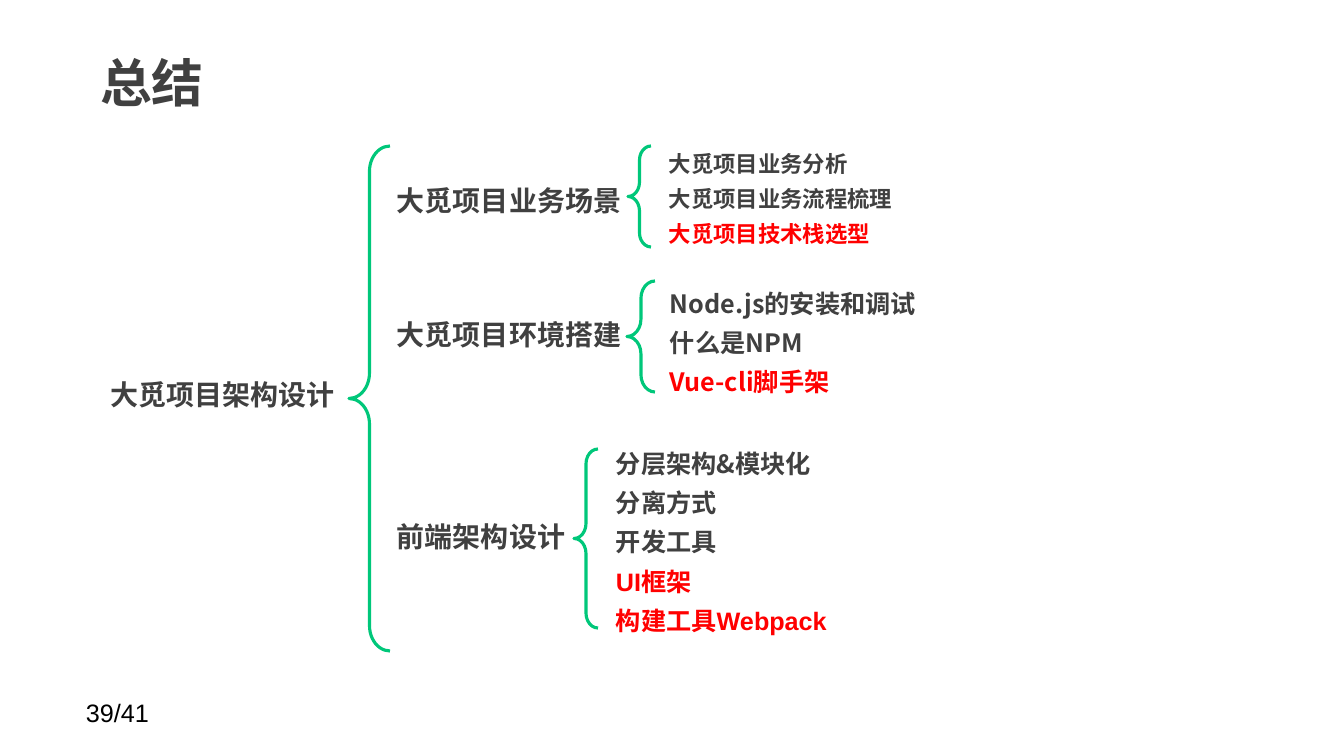
from pptx import Presentation
from pptx.dml.color import RGBColor
from pptx.enum.shapes import MSO_SHAPE
from pptx.enum.text import MSO_ANCHOR, MSO_AUTO_SIZE, PP_ALIGN
from pptx.oxml.ns import qn
from pptx.util import Emu, Pt
from lxml.etree import SubElement

EMU_PER_PX = 914400 / 100.8
SLIDE_SIZE = (1344, 756)
DARK = RGBColor(0x40, 0x40, 0x40)
RED = RGBColor(0xFF, 0x00, 0x00)
BLACK = RGBColor(0x00, 0x00, 0x00)
GREEN = RGBColor(0x00, 0xC7, 0x7A)
LATIN = "Arial"
CHINESE = "Noto Sans CJK SC"
LABEL_LEFT, LABEL_WIDTH, LABEL_HEIGHT = 387, 260, 44

BRANCHES = [
    {
        "label": "大觅项目业务场景",
        "label_top": 179,
        "brace": (628, 146, 23, 101),
        "box": (659, 137, 523, 116),
        "size": 16,
        "items": [
            ("大觅项目业务分析", LATIN, DARK),
            ("大觅项目业务流程梳理", LATIN, DARK),
            ("大觅项目技术栈选型", LATIN, RED),
        ],
    },
    {
        "label": "大觅项目环境搭建",
        "label_top": 313,
        "brace": (627, 281, 28, 111),
        "box": (660, 274, 346, 129),
        "size": 18,
        "items": [
            ("Node.js的安装和调试", CHINESE, DARK),
            ("什么是NPM", CHINESE, DARK),
            ("Vue-cli脚手架", CHINESE, RED),
        ],
    },
    {
        "label": "前端架构设计",
        "label_top": 515,
        "brace": (574, 449, 24, 179),
        "box": (606, 434, 318, 209),
        "size": 18,
        "items": [
            ("分层架构&模块化", CHINESE, DARK),
            ("分离方式", CHINESE, DARK),
            ("开发工具", CHINESE, DARK),
            ("UI框架", LATIN, RED),
            ("构建工具Webpack", LATIN, RED),
        ],
    },
]


def px(length):
    return Emu(round(length * EMU_PER_PX))


def place(left, top, width, height):
    return px(left), px(top), px(width), px(height)


def write_text(para, text, size=20, color=DARK, font=LATIN, bold=True,
               align=PP_ALIGN.LEFT, spacing=None):
    para.alignment = align
    if spacing:
        para.line_spacing = spacing
    span = para.add_run()
    span.text = text
    span.font.size = Pt(size)
    span.font.bold = bold
    span.font.color.rgb = color
    span.font.name = font
    SubElement(span.font._element, qn("a:ea")).set("typeface", CHINESE)


def add_box(page, area):
    box = page.shapes.add_textbox(*place(*area))
    box.text_frame.word_wrap = True
    return box.text_frame


def add_label(page, area, text, **style):
    frame = add_box(page, area)
    write_text(frame.paragraphs[0], text, **style)


def add_items(page, area, items, size):
    frame = add_box(page, area)
    for index, (text, font, color) in enumerate(items):
        para = frame.add_paragraph() if index else frame.paragraphs[0]
        write_text(para, text, size=size, font=font, color=color, spacing=1.3)


def add_brace(page, area):
    brace = page.shapes.add_shape(MSO_SHAPE.LEFT_BRACE, *place(*area))
    brace.shadow.inherit = False
    brace.adjustments[0] = 0.62
    brace.adjustments[1] = 0.5
    brace.fill.background()
    brace.line.color.rgb = GREEN
    brace.line.width = Pt(2.25)


def set_title(page, text):
    title = page.shapes.title
    title.left, title.top, title.width, title.height = place(87, 30, 1049, 104)
    frame = title.text_frame
    frame.auto_size = MSO_AUTO_SIZE.NONE
    frame.vertical_anchor = MSO_ANCHOR.MIDDLE
    frame.margin_left = frame.margin_right = px(13)
    frame.margin_top = frame.margin_bottom = px(6)
    write_text(frame.paragraphs[0], text, size=37, font=CHINESE)


def main():
    deck = Presentation()
    deck.slide_width, deck.slide_height = map(px, SLIDE_SIZE)
    page = deck.slides.add_slide(deck.slide_layouts[5])

    set_title(page, "总结")
    add_label(page, (87, 373, 271, 44), "大觅项目架构设计", align=PP_ALIGN.CENTER)
    add_brace(page, (349, 146, 41, 505))
    for branch in BRANCHES:
        label_area = (LABEL_LEFT, branch["label_top"], LABEL_WIDTH, LABEL_HEIGHT)
        add_label(page, label_area, branch["label"])
        add_brace(page, branch["brace"])
        add_items(page, branch["box"], branch["items"], branch["size"])
    add_label(page, (76, 692, 235, 40), "39/41", size=18, color=BLACK, bold=False)

    deck.save("out.pptx")


if __name__ == "__main__":
    main()
